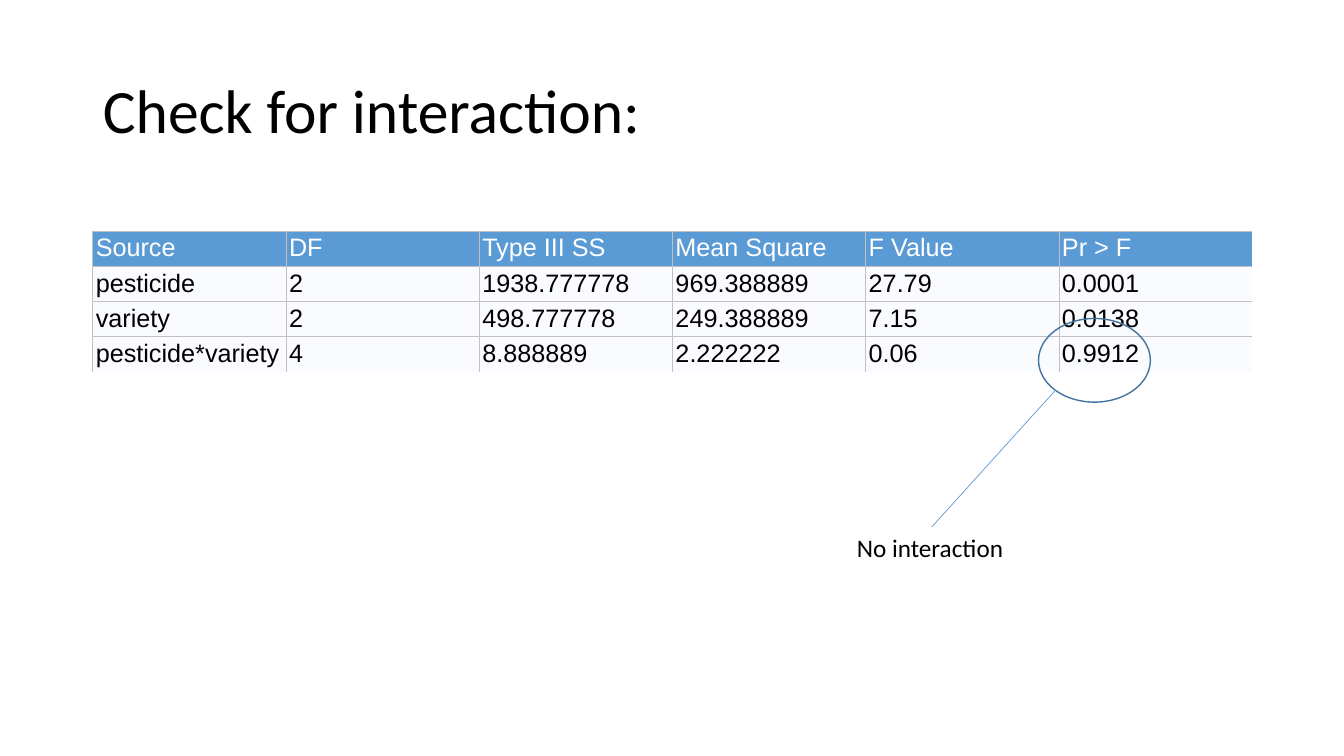
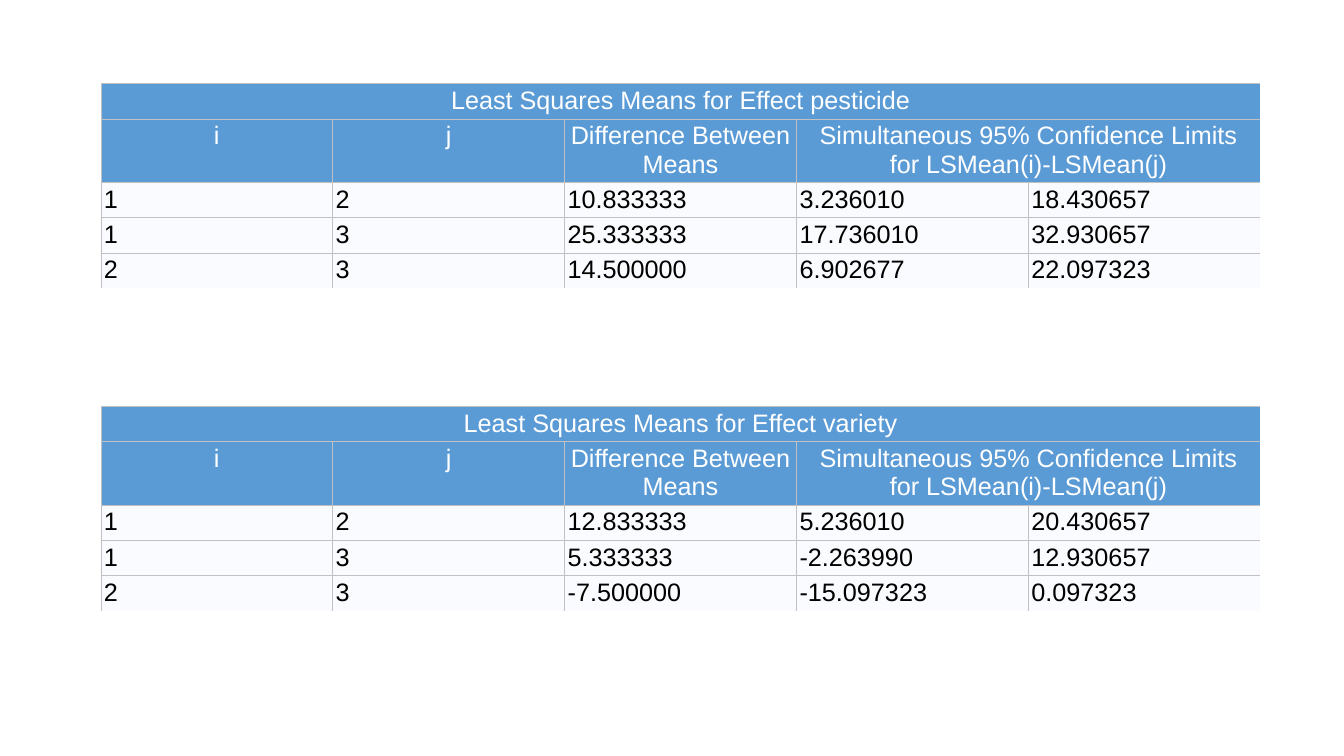
import lxml.etree
import pptx
import pptx.dml.color
import pptx.enum.shapes
import pptx.enum.text
import pptx.oxml.ns
import pptx.util

Inches = pptx.util.Inches
Pt = pptx.util.Pt
qn = pptx.oxml.ns.qn
ALIGN = pptx.enum.text.PP_ALIGN
ANCHOR = pptx.enum.text.MSO_ANCHOR
AUTO_SIZE = pptx.enum.text.MSO_AUTO_SIZE

COLORS = {
    "ink": "000000",
    "header": "5B9BD5",
    "header_text": "FFFFFF",
    "body": "FAFBFE",
    "rule": "C1C1C1",
    "ring": "43739E",
}
TITLE_FONT = {"name": "Calibri", "size": Pt(44), "bold": False}
LABEL_FONT = {"name": "Calibri", "size": Pt(18)}
TABLE_FONT = {"name": "Arial", "size": Pt(18), "bold": False}
CELL_FORMAT = {
    side: Inches(0.03)
    for side in ("margin_left", "margin_top", "margin_right", "margin_bottom")
}
PLAIN_TABLE = {"first_row": False, "horz_banding": False}
ROW_HEIGHT = 0.35
TALL_ROW_HEIGHT = 0.63

INTERACTION_ROWS = [
    ["Source", "DF", "Type III SS", "Mean Square", "F Value", "Pr > F"],
    ["pesticide", "2", "1938.777778", "969.388889", "27.79", "0.0001"],
    ["variety", "2", "498.777778", "249.388889", "7.15", "0.0138"],
    ["pesticide*variety", "4", "8.888889", "2.222222", "0.06", "0.9912"],
]
MEANS_HEADINGS = [
    "i",
    "j",
    "Difference Between\nMeans",
    "Simultaneous 95% Confidence Limits\nfor LSMean(i)-LSMean(j)",
    "",
]
EFFECTS = {
    "pesticide": [
        ["1", "2", "10.833333", "3.236010", "18.430657"],
        ["1", "3", "25.333333", "17.736010", "32.930657"],
        ["2", "3", "14.500000", "6.902677", "22.097323"],
    ],
    "variety": [
        ["1", "2", "12.833333", "5.236010", "20.430657"],
        ["1", "3", "5.333333", "-2.263990", "12.930657"],
        ["2", "3", "-7.500000", "-15.097323", "0.097323"],
    ],
}


def rgb(color):
    return pptx.dml.color.RGBColor.from_string(COLORS[color])


def apply(target, formats):
    for name, value in formats.items():
        setattr(target, name, value)


def write(frame, text, font, color, align=ALIGN.LEFT):
    paragraph = frame.paragraphs[0]
    paragraph.text = text
    paragraph.alignment = align
    for run in paragraph.runs:
        apply(run.font, font)
        run.font.color.rgb = rgb(color)
    return paragraph


def rule_cell(cell, ruled_sides):
    properties = cell._tc.get_or_add_tcPr()
    for side in "LRTB":
        edge = lxml.etree.SubElement(properties, qn(f"a:ln{side}"), w=str(Pt(0.5)))
        if side in ruled_sides:
            ink = lxml.etree.SubElement(edge, qn("a:solidFill"))
            lxml.etree.SubElement(ink, qn("a:srgbClr"), val=COLORS["rule"])
        else:
            lxml.etree.SubElement(edge, qn("a:noFill"))


def add_results(slide, rows, left, top, width, header_count=1,
                header_align=ALIGN.LEFT, merges=()):
    heights = [
        TALL_ROW_HEIGHT if any("\n" in text for text in row) else ROW_HEIGHT
        for row in rows
    ]
    column_count = len(rows[0])
    results = slide.shapes.add_table(
        len(rows), column_count, Inches(left), Inches(top),
        Inches(width), Inches(sum(heights))).table
    apply(results, PLAIN_TABLE)
    for column in results.columns:
        column.width = Inches(width / column_count)
    for row, height in zip(results.rows, heights):
        row.height = Inches(height)
    last_columns = {(r, first): last for r, first, last in merges}
    for r, texts in enumerate(rows):
        is_header = r < header_count
        for c, text in enumerate(texts):
            cell = results.cell(r, c)
            apply(cell, CELL_FORMAT)
            sides = "LT"
            if last_columns.get((r, c), c) < column_count - 1:
                sides += "R"
            if r < len(rows) - 1:
                sides += "B"
            rule_cell(cell, sides)
            cell.fill.solid()
            cell.fill.fore_color.rgb = rgb("header" if is_header else "body")
            write(cell.text_frame, text, TABLE_FONT,
                  "header_text" if is_header else "ink",
                  header_align if is_header else ALIGN.LEFT)
    for r, first, last in merges:
        results.cell(r, first).merge(results.cell(r, last))


def add_title(slide, text, left, top, width, height):
    title = slide.shapes.title
    apply(title, {"left": Inches(left), "top": Inches(top),
                  "width": Inches(width), "height": Inches(height)})
    apply(title.text_frame, {"vertical_anchor": ANCHOR.MIDDLE,
                             "auto_size": AUTO_SIZE.NONE})
    write(title.text_frame, text, TITLE_FONT, "ink").line_spacing = 0.9


def add_callout(slide, text, left, top):
    ring = slide.shapes.add_shape(
        pptx.enum.shapes.MSO_SHAPE.OVAL, Inches(left + 1.9), Inches(top),
        Inches(1.11), Inches(0.83))
    ring.shadow.inherit = False
    ring.fill.background()
    ring.line.color.rgb = rgb("ring")
    ring.line.width = Pt(1)

    label_top = top + 2.07
    label = slide.shapes.add_textbox(
        Inches(left), Inches(label_top), Inches(1.67), Inches(0.4))
    apply(label.text_frame, {"word_wrap": False,
                             "auto_size": AUTO_SIZE.SHAPE_TO_FIT_TEXT})
    write(label.text_frame, text, LABEL_FONT, "ink")

    leader = slide.shapes.add_connector(
        pptx.enum.shapes.MSO_CONNECTOR.STRAIGHT,
        Inches(left + 0.84), Inches(label_top),
        Inches(left + 2.07), Inches(top + 0.71))
    leader.line.color.rgb = rgb("header")
    leader.line.width = Pt(0.5)
    lxml.etree.SubElement(leader._element.spPr, qn("a:effectLst"))


def build_interaction(deck):
    slide = deck.slides.add_slide(deck.slide_layouts[5])
    add_title(slide, "Check for interaction:", 0.92, 0.4, 11.5, 1.45)
    add_results(slide, INTERACTION_ROWS, 0.92, 2.29, 11.5)
    add_callout(slide, "No interaction", 8.4, 3.16)


def build_means(deck):
    slide = deck.slides.add_slide(deck.slide_layouts[6])
    for index, (effect, differences) in enumerate(EFFECTS.items()):
        caption = [f"Least Squares Means for Effect {effect}", "", "", "", ""]
        add_results(slide, [caption, MEANS_HEADINGS, *differences],
                    1, 0.83 + 3.2 * index, 11.5, header_count=2,
                    header_align=ALIGN.CENTER, merges=[(0, 0, 4), (1, 3, 4)])


def main():
    deck = pptx.Presentation()
    apply(deck, {"slide_width": Inches(13.33), "slide_height": Inches(7.5)})
    build_interaction(deck)
    build_means(deck)
    deck.save("out.pptx")


if __name__ == "__main__":
    main()
